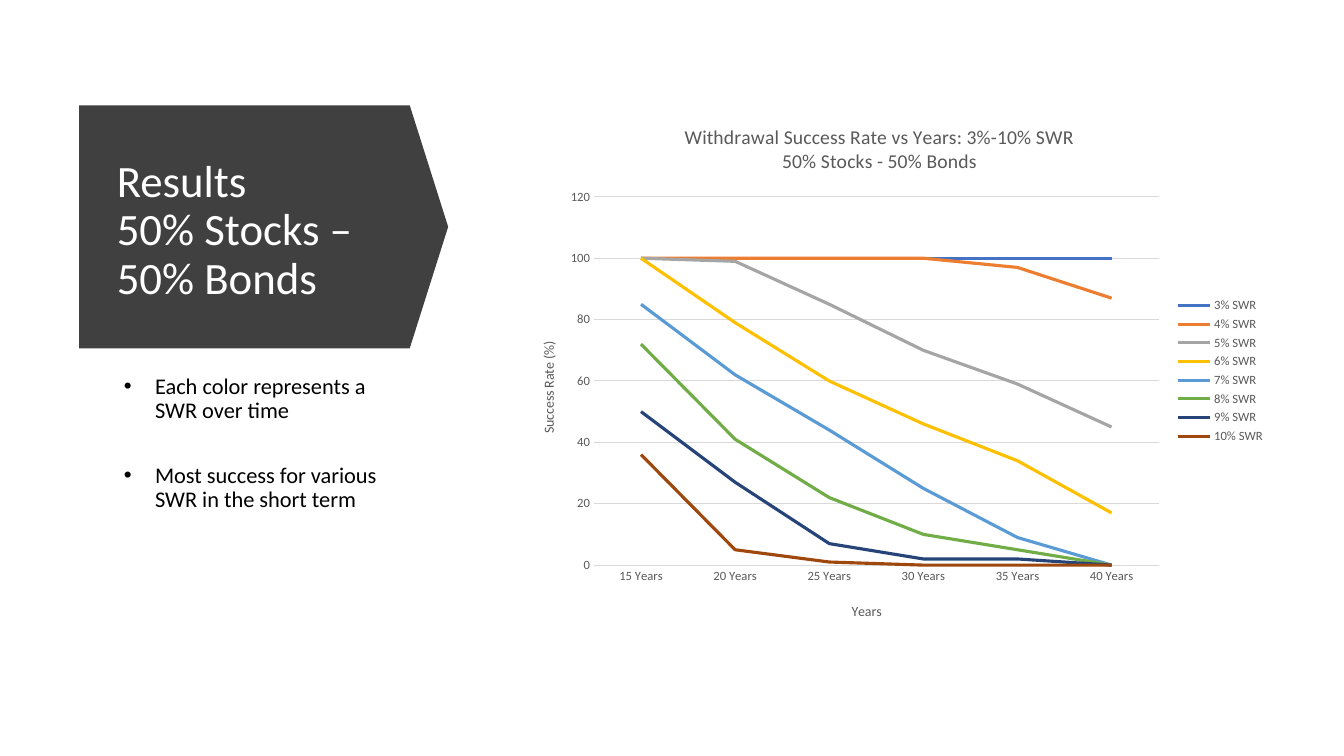
import pptx
import pptx.util
import pptx.dml.color
import pptx.chart.data
import pptx.enum.chart
import pptx.enum.shapes
import pptx.enum.text
import pptx.oxml
import pptx.oxml.ns

Pt = pptx.util.Pt
qn = pptx.oxml.ns.qn

HEAD = "Results\v50% Stocks – 50% Bonds"
POINTS = [
    "Each color represents a SWR over time",
    "Most success for various SWR in the short term",
]
TITLE = "Withdrawal Success Rate vs Years: 3%-10% SWR\n50% Stocks - 50% Bonds"
AXES = {"x": "Years", "y": "Success Rate (%)"}
YEARS = [f"{n} Years" for n in range(15, 41, 5)]
RATES = [
    ("3% SWR", (100, 100, 100, 100, 100, 100), "4472C4"),
    ("4% SWR", (100, 100, 100, 100, 97, 87), "ED7D31"),
    ("5% SWR", (100, 99, 85, 70, 59, 45), "A5A5A5"),
    ("6% SWR", (100, 79, 60, 46, 34, 17), "FFC000"),
    ("7% SWR", (85, 62, 44, 25, 9, 0), "5B9BD5"),
    ("8% SWR", (72, 41, 22, 10, 5, 0), "70AD47"),
    ("9% SWR", (50, 27, 7, 2, 2, 0), "264478"),
    ("10% SWR", (36, 5, 1, 0, 0, 0), "9E480E"),
]
THEME = {
    "font": "Calibri", "dark": "404040", "white": "FFFFFF", "black": "000000",
    "gray": "595959", "grid": "D9D9D9",
    "head": 32, "body": 16, "title": 14, "axis": 10, "tick": 9,
    "line": 2.25, "hair": 0.75,
}
SHARES = {
    "arrow": (10.58, 5.6, 18.08, 48.8),
    "head": (7.95, 17.6, 21.9, 26),
    "body": (7.95, 48.93, 21.9, 35.33),
    "chart": (38.25, 13.87, 56.63, 70.4),
}

deck = pptx.Presentation()
deck.slide_width = pptx.util.Inches(13.33)
deck.slide_height = pptx.util.Inches(7.5)
slide = deck.slides.add_slide(deck.slide_layouts[6])


def place(name):
    sizes = (deck.slide_width, deck.slide_height) * 2
    return [int(part * size / 100) for part, size in zip(SHARES[name], sizes)]


def color(name):
    return pptx.dml.color.RGBColor.from_string(THEME.get(name, name))


def style(font, size, tone):
    font.name = THEME["font"]
    font.size = Pt(THEME[size])
    font.bold = False
    font.color.rgb = color(tone)


def stroke(line, tone, width):
    line.color.rgb = color(tone)
    line.width = Pt(THEME[width])


def write(name, text, tone):
    frame = slide.shapes.add_textbox(*place(name)).text_frame
    frame.word_wrap = True
    frame.text = text
    for para in frame.paragraphs:
        para.line_spacing = 0.9
        for run in para.runs:
            style(run.font, name, tone)
    return frame


def pin(node, index, **spots):
    for old in node.findall(qn("c:layout")):
        node.remove(old)
    layout = pptx.oxml.ns.nsdecls("c")
    modes = "".join(f'<c:{key}Mode val="edge"/>' for key in "xy")
    target = '<c:layoutTarget val="inner"/>' if "w" in spots else ""
    sides = "".join(f'<c:{key} val="{val}"/>' for key, val in spots.items())
    node.insert(index, pptx.oxml.parse_xml(
        f"<c:layout {layout}><c:manualLayout>{target}{modes}{sides}"
        "</c:manualLayout></c:layout>"))


def label(title, text, size, x, y):
    title.text_frame.text = text
    for para in title.text_frame.paragraphs:
        for run in para.runs:
            style(run.font, size, "gray")
    pin(title._element, 1, x=x, y=y)


arrow = slide.shapes.add_shape(
    pptx.enum.shapes.MSO_SHAPE.DOWN_ARROW, *place("arrow"))
arrow.rotation = 270
arrow.adjustments[0] = 1
arrow.adjustments[1] = 0.158
arrow.shadow.inherit = False
arrow.fill.solid()
arrow.fill.fore_color.rgb = color("dark")
arrow.line.fill.background()

head = write("head", HEAD, "white")
head.vertical_anchor = pptx.enum.text.MSO_ANCHOR.MIDDLE

body = write("body", "\n".join(POINTS), "black")
for para in body.paragraphs:
    para.space_after = Pt(29)
    props = para._p.get_or_add_pPr()
    props.set("marL", str(pptx.util.Inches(0.38)))
    props.set("indent", str(pptx.util.Inches(-0.31)))
    space = pptx.oxml.ns.nsdecls("a")
    for tag in ('buFont {} typeface="Arial"', 'buChar {} char="•"'):
        props.append(pptx.oxml.parse_xml(f"<a:{tag.format(space)}/>"))

data = pptx.chart.data.CategoryChartData()
data.categories = YEARS
for name, vals, tone in RATES:
    data.add_series(name, vals)
chart = slide.shapes.add_chart(
    pptx.enum.chart.XL_CHART_TYPE.LINE, *place("chart"), data).chart
style(chart.font, "axis", "black")
label(chart.chart_title, TITLE, "title", 0.22, 0.03)
chart.chart_title.include_in_layout = False
pin(chart._chartSpace.chart.plotArea, 0, x=0.105, y=0.173, w=0.742, h=0.692)

plot = chart.plots[0]
plot.vary_by_categories = False
for series, (name, vals, tone) in zip(plot.series, RATES):
    series.smooth = False
    stroke(series.format.line, tone, "line")
    series.marker.style = pptx.enum.chart.XL_MARKER_STYLE.NONE

across, up = chart.category_axis, chart.value_axis
for axis in (across, up):
    axis.major_tick_mark = pptx.enum.chart.XL_TICK_MARK.NONE
    axis.minor_tick_mark = pptx.enum.chart.XL_TICK_MARK.NONE
    style(axis.tick_labels.font, "tick", "gray")
stroke(across.format.line, "grid", "hair")
up.format.line.fill.background()
up.minimum_scale, up.maximum_scale, up.major_unit = 0, 120, 20
up.has_major_gridlines = True
stroke(up.major_gridlines.format.line, "grid", "hair")
label(across.axis_title, AXES["x"], "axis", 0.44, 0.93)
label(up.axis_title, AXES["y"], "axis", 0.03, 0.44)
up.axis_title.text_frame._txBody.bodyPr.set("rot", "-5400000")
up.axis_title.text_frame._txBody.bodyPr.set("vert", "horz")

chart.has_legend = True
chart.legend.position = pptx.enum.chart.XL_LEGEND_POSITION.RIGHT
chart.legend.include_in_layout = False
style(chart.legend.font, "tick", "gray")

deck.save("out.pptx")
